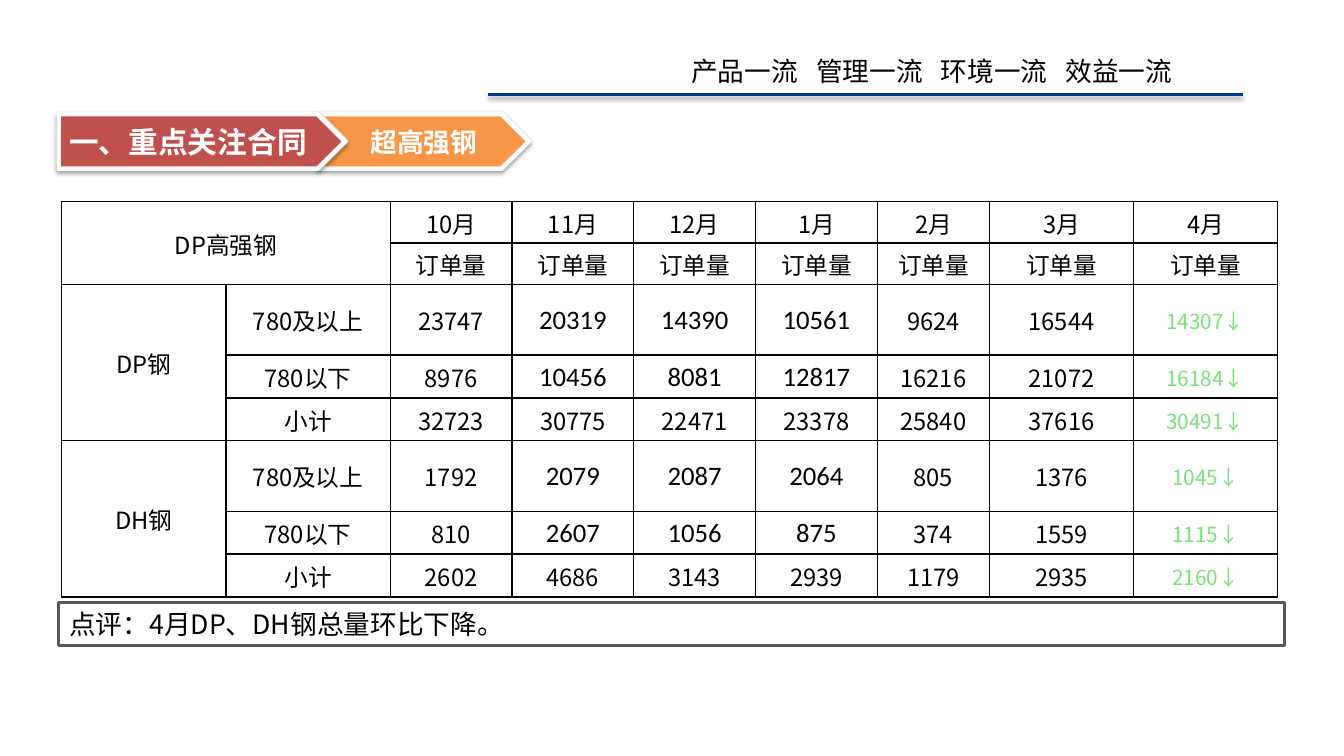
import pptx
import pptx.dml.color
import pptx.enum.shapes
import pptx.enum.text
import pptx.oxml
import pptx.oxml.ns
import pptx.util

Cm, Pt = pptx.util.Cm, pptx.util.Pt
RGBColor = pptx.dml.color.RGBColor
MSO_SHAPE = pptx.enum.shapes.MSO_SHAPE
PP_ALIGN = pptx.enum.text.PP_ALIGN
MIDDLE = pptx.enum.text.MSO_ANCHOR.MIDDLE

BLACK = RGBColor(0x00, 0x00, 0x00)
WHITE = RGBColor(0xFF, 0xFF, 0xFF)
BLUE = RGBColor(0x00, 0x3B, 0x90)
RED = RGBColor(0xC0, 0x50, 0x4D)
ORANGE = RGBColor(0xF7, 0x96, 0x46)
GRAY = RGBColor(0x59, 0x59, 0x59)
GREEN = RGBColor(0x7A, 0xE0, 0x7A)

CJK_FONT = "Noto Sans CJK SC"
NS = pptx.oxml.ns.nsdecls("a")


def write(frame, text, color, align=PP_ALIGN.LEFT, **font_format):
    """Put one formatted run into a vertically centred text frame."""
    frame.vertical_anchor = MIDDLE
    frame.word_wrap = True
    paragraph = frame.paragraphs[0]
    paragraph.alignment = align
    run = paragraph.add_run()
    run.text = text
    for key, value in ({"name": CJK_FONT, "size": Pt(18)} | font_format).items():
        setattr(run.font, key, value)
    run.font.color.rgb = color
    run._r.get_or_add_rPr().append(
        pptx.oxml.parse_xml(f'<a:ea {NS} typeface="{CJK_FONT}"/>'))
    return paragraph


def add_shadow(item):
    """Drop a soft shadow straight down."""
    item._element.spPr.append(pptx.oxml.parse_xml(
        f'<a:effectLst {NS}><a:outerShdw blurRad="{Pt(3.1)}" dist="{Pt(1.6)}" '
        'dir="5400000" rotWithShape="0"><a:srgbClr val="000000">'
        '<a:alpha val="38000"/></a:srgbClr></a:outerShdw></a:effectLst>'))


presentation = pptx.Presentation()
presentation.slide_width, presentation.slide_height = Cm(32), Cm(18.01)
slide = presentation.slides.add_slide(presentation.slide_layouts[6])
shapes = slide.shapes

# Slogan, its four parts set on even tab stops
slogan = shapes.add_textbox(Cm(16.21), Cm(1.17), Cm(14.66), Cm(1.02))
slogan_parts = ["产品一流", "管理一流", "环境一流", "效益一流"]
slogan_line = write(slogan.text_frame, "\t".join(slogan_parts), BLACK)
stops = "".join(f'<a:tab pos="{Cm(2.97 * n)}" algn="l"/>'
                for n in range(1, len(slogan_parts)))
slogan_line._p.get_or_add_pPr().append(
    pptx.oxml.parse_xml(f"<a:tabLst {NS}>{stops}</a:tabLst>"))

# Rule under the slogan
rule = shapes.add_connector(pptx.enum.shapes.MSO_CONNECTOR.STRAIGHT,
                            Cm(11.61), Cm(2.26), Cm(29.59), Cm(2.26))
rule.line.color.rgb = BLUE
rule.line.width = Pt(2)
add_shadow(rule)

# Comment under the table
comment = shapes.add_shape(MSO_SHAPE.RECTANGLE,
                           Cm(1.4), Cm(14.35), Cm(29.18), Cm(1.02))
comment.shadow.inherit = False
comment.fill.solid()
comment.fill.fore_color.rgb = WHITE
comment.line.color.rgb = GRAY
comment.line.width = Pt(2)
write(comment.text_frame, "点评：4月DP、DH钢总量环比下降。", BLACK)

# Section arrows, the topic behind the heading
for kind, left, width, color, text, size, align in [
    (MSO_SHAPE.CHEVRON, 7.59, 5, ORANGE, "超高强钢", 18, PP_ALIGN.CENTER),
    (MSO_SHAPE.PENTAGON, 1.4, 6.81, RED, "一、重点关注合同", 20, PP_ALIGN.LEFT),
]:
    arrow = shapes.add_shape(kind, Cm(left), Cm(2.72), Cm(width), Cm(1.3))
    arrow.fill.solid()
    arrow.fill.fore_color.rgb = color
    arrow.line.color.rgb = WHITE
    arrow.line.width = Pt(3)
    add_shadow(arrow)
    write(arrow.text_frame, text, WHITE, align, size=Pt(size), bold=True)

# Order table: contents
months = ["10月", "11月", "12月", "1月", "2月", "3月", "4月"]
order_rows = [
    ["DP高强钢", ""] + months,
    ["", ""] + ["订单量"] * len(months),
    ["DP钢", "780及以上", "23747", "20319", "14390", "10561", "9624", "16544", "14307↓"],
    ["", "780以下", "8976", "10456", "8081", "12817", "16216", "21072", "16184↓"],
    ["", "小计", "32723", "30775", "22471", "23378", "25840", "37616", "30491↓"],
    ["DH钢", "780及以上", "1792", "2079", "2087", "2064", "805", "1376", "1045↓"],
    ["", "780以下", "810", "2607", "1056", "875", "374", "1559", "1115↓"],
    ["", "小计", "2602", "4686", "3143", "2939", "1179", "2935", "2160↓"],
]
column_widths = [3.91] * 2 + [2.9] * 4 + [2.67] + [3.43] * 2
row_heights = [0.99] * 2 + [1.68, 1.02, 1.02] * 2

# Order table: grid and merged headings
orders = shapes.add_table(len(row_heights), len(column_widths), Cm(1.47), Cm(4.8),
                          Cm(sum(column_widths)), Cm(sum(row_heights))).table
for column, width in zip(orders.columns, column_widths):
    column.width = Cm(width)
for row, height in zip(orders.rows, row_heights):
    row.height = Cm(height)
for first, last in [((0, 0), (1, 1)), ((2, 0), (4, 0)), ((5, 0), (7, 0))]:
    orders.cell(*first).merge(orders.cell(*last))

# Order table: cells
cell_format = {"margin_left": Cm(0.03), "margin_right": Cm(0.03),
               "margin_top": Cm(0.03), "margin_bottom": 0,
               "vertical_anchor": MIDDLE}
for r, row_texts in enumerate(order_rows):
    for c, text in enumerate(row_texts):
        cell = orders.cell(r, c)
        for key, value in cell_format.items():
            setattr(cell, key, value)
        for side in "LRTB":
            cell._tc.get_or_add_tcPr().append(pptx.oxml.parse_xml(
                f'<a:ln{side} {NS} w="{Pt(1)}"><a:solidFill>'
                f'<a:srgbClr val="{BLACK}"/></a:solidFill></a:ln{side}>'))
        cell.fill.solid()
        cell.fill.fore_color.rgb = WHITE
        if not text:
            continue
        font, size, color = CJK_FONT, 16, BLACK
        if "↓" in text:
            size, color = 14, GREEN
        elif c in (3, 4, 5) and row_texts[1].startswith("780"):
            font, size = "Calibri", 18
        write(cell.text_frame, text, color, PP_ALIGN.CENTER,
              name=font, size=Pt(size))

presentation.save("out.pptx")
